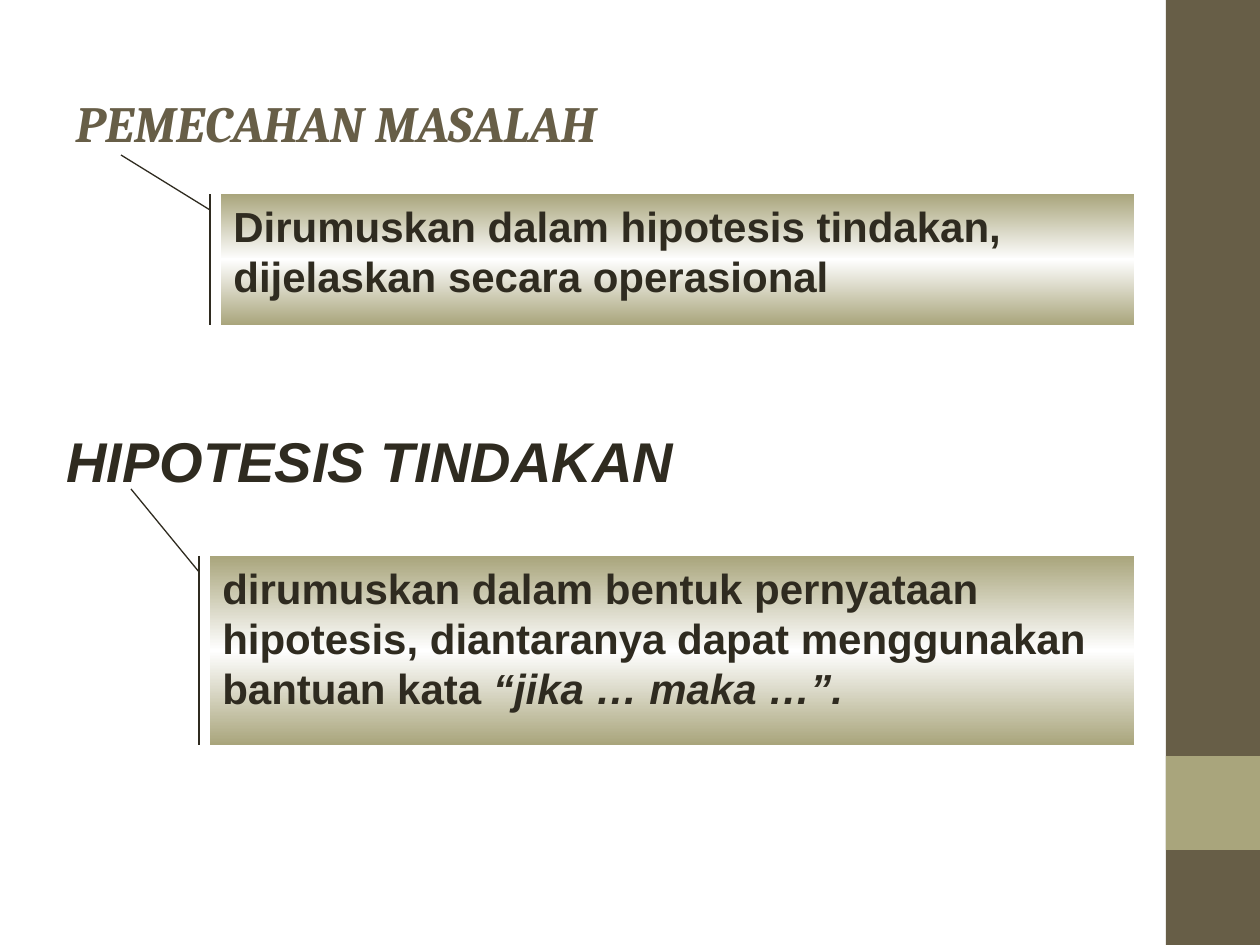
from copy import deepcopy

from pptx import Presentation
from pptx.dml.color import RGBColor
from pptx.enum.shapes import MSO_SHAPE
from pptx.enum.text import MSO_ANCHOR, MSO_AUTO_SIZE, PP_ALIGN
from pptx.oxml.ns import qn
from pptx.util import Emu, Pt

PX = 914400 // 126
RECT = MSO_SHAPE.RECTANGLE
CALLOUT = MSO_SHAPE.LINE_CALLOUT_1_ACCENT_BAR
LEFT = PP_ALIGN.LEFT
TOP, MIDDLE = MSO_ANCHOR.TOP, MSO_ANCHOR.MIDDLE
NO_AUTOFIT = MSO_AUTO_SIZE.NONE

BROWN = RGBColor(0x67, 0x5E, 0x47)
OLIVE = RGBColor(0xA9, 0xA5, 0x7C)
WHITE = RGBColor(0xFF, 0xFF, 0xFF)
DARK = RGBColor(0x2F, 0x2B, 0x20)


def px(*lengths):
    return [Emu(n * PX) for n in lengths]


def write(sp, runs, size, color, font="Arial", italic=None, anchor=TOP):
    """Fill a shape with one bold paragraph made of (text, italic) runs."""
    tf = sp.text_frame
    tf.word_wrap = True
    tf.auto_size = NO_AUTOFIT
    tf.vertical_anchor = anchor
    p = tf.paragraphs[0]
    p.alignment = LEFT
    p.font.name, p.font.size = font, Pt(size)
    p.font.bold, p.font.italic = True, italic
    p.font.color.rgb = color
    for text, slanted in runs:
        r = p.add_run()
        r.text = text
        r.font.italic = slanted


def add_band(slide, box, color):
    sp = slide.shapes.add_shape(RECT, *px(*box))
    sp.shadow.inherit = False
    sp.fill.solid()
    sp.fill.fore_color.rgb = color
    sp.line.fill.background()


def fill_gradient(sp, colors):
    """Fill from top to bottom with three evenly spaced colours."""
    sp.fill.gradient()
    sp.fill.gradient_angle = 90
    stops = sp.element.spPr.find(qn("a:gradFill")).find(qn("a:gsLst"))
    stops.insert(1, deepcopy(stops[0]))
    for i, (stop, color) in enumerate(zip(sp.fill.gradient_stops, colors)):
        stop.position = i / 2
        stop.color.rgb = color


def add_callout(slide, box, bar, tip, runs):
    """Add a box whose leader runs from the accent bar point to the tip."""
    x, y, w, h = box
    sp = slide.shapes.add_shape(CALLOUT, *px(*box))
    sp.shadow.inherit = False
    for i, (point_x, point_y) in enumerate((bar, tip)):
        sp.adjustments[2 * i] = (point_y - y) / h
        sp.adjustments[2 * i + 1] = (point_x - x) / w
    fill_gradient(sp, (OLIVE, WHITE, OLIVE))
    sp.line.color.rgb = DARK
    sp.line.width = Pt(0.75)
    write(sp, runs, 24, DARK)


def add_title(slide, box, text):
    title = slide.shapes.title
    title.left, title.top, title.width, title.height = px(*box)
    write(title, [(text, None)], 29, BROWN, "Cambria", True, MIDDLE)


def add_heading(slide, box, text):
    sp = slide.shapes.add_textbox(*px(*box))
    write(sp, [(text, None)], 32, DARK, italic=True)


def main():
    prs = Presentation()
    prs.slide_width, prs.slide_height = px(1260, 945)
    slide = prs.slides.add_slide(prs.slide_layouts[5])

    add_band(slide, (1166, 0, 94, 945), BROWN)
    add_band(slide, (1166, 756, 94, 94), OLIVE)

    add_title(slide, (63, 97, 1134, 50), "PEMECAHAN MASALAH")
    add_callout(slide, (221, 194, 913, 131), (210, 210), (121, 155), [
        ("Dirumuskan dalam hipotesis tindakan, dijelaskan secara operasional", None),
    ])

    add_heading(slide, (54, 420, 1080, 80), "HIPOTESIS TINDAKAN")
    add_callout(slide, (210, 556, 924, 189), (199, 572), (131, 489), [
        ("dirumuskan dalam bentuk pernyataan hipotesis, diantaranya dapat "
         "menggunakan bantuan kata ", None),
        ("“jika … maka …”.", True),
    ])

    prs.save("out.pptx")


if __name__ == "__main__":
    main()
